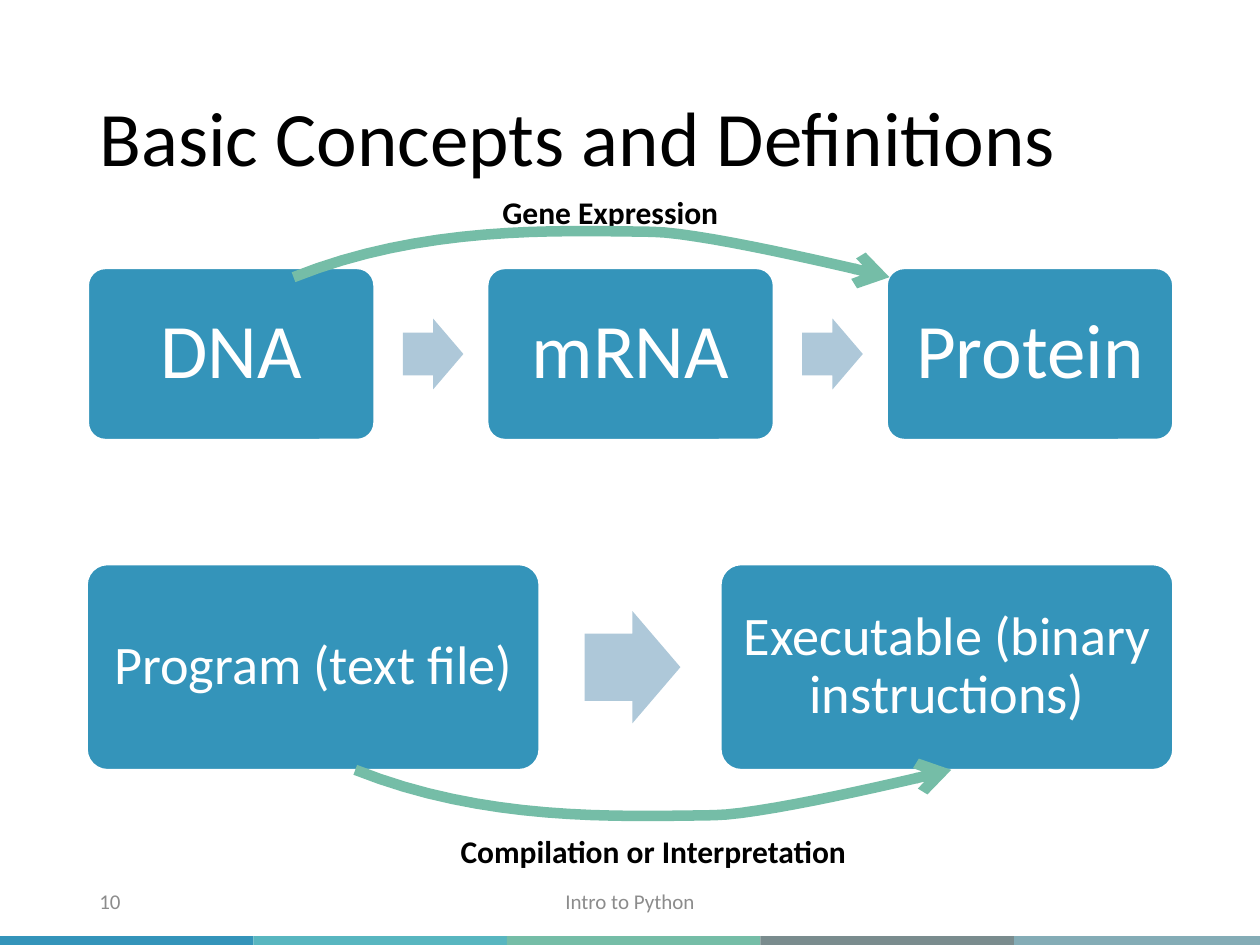
from pptx import Presentation
from pptx.dml.color import RGBColor
from pptx.enum import shapes as sh, text as tx
from pptx.oxml import parse_xml
from pptx.oxml.ns import nsdecls
from pptx.util import Inches, Pt

BLUE = RGBColor(0x34, 0x94, 0xBA)
TEAL = RGBColor(0x58, 0xB6, 0xC0)
GREEN = RGBColor(0x75, 0xBD, 0xA7)
SLATE = RGBColor(0x7A, 0x8C, 0x8E)
MIST = RGBColor(0x84, 0xAC, 0xB6)
PALE = RGBColor(0xAE, 0xC8, 0xD9)
GRAY = RGBColor(0x8C, 0x8C, 0x8C)
BLACK = RGBColor(0, 0, 0)
WHITE = RGBColor(255, 255, 255)
KIND = sh.MSO_SHAPE
LEFT, CENTER = tx.PP_ALIGN.LEFT, tx.PP_ALIGN.CENTER

# Two cubic pieces of the curved arrow, as offsets from its start
CURVE = [[(0, 0), (1.03, -0.41), (2.06, -0.37), (2.85, -0.36)],
         [(2.85, -0.36), (3.31, -0.35), (4.73, 0), (4.73, 0)]]


def write(shape, words, size, color, align=CENTER, bold=False, space=1.0):
    frame = shape.text_frame
    frame.vertical_anchor = tx.MSO_ANCHOR.MIDDLE
    para = frame.paragraphs[0]
    para.alignment, para.line_spacing = align, space
    run = para.add_run()
    run.text = words
    font = run.font
    font.name, font.size, font.bold = "Calibri", Pt(size), bold
    font.color.rgb = color
    return frame


def label(slide, box, words, size, color, wrap=True, **style):
    shape = slide.shapes.add_textbox(*map(Inches, box))
    write(shape, words, size, color, **style).word_wrap = wrap


def block(slide, kind, box, fill):
    shape = slide.shapes.add_shape(kind, *map(Inches, box))
    shape.shadow.inherit = False
    shape.fill.solid()
    shape.fill.fore_color.rgb = fill
    shape.line.fill.background()
    return shape


def stripe(slide, left, top, width, height):
    """Coloured band along the bottom edge."""
    colors = [BLUE, TEAL, GREEN, SLATE, MIST]
    step = width / len(colors)
    for i, color in enumerate(colors):
        block(slide, KIND.RECTANGLE, (left + i * step, top, step, height), color)


def flow(slide, box, names, wide, size, inset):
    """Row of rounded steps with a block arrow in each gap."""
    left, top, width, height = box
    pitch = (width - wide) / (len(names) - 1)
    for i, name in enumerate(names):
        x = left + i * pitch
        step = block(slide, KIND.ROUNDED_RECTANGLE, (x, top, wide, height), BLUE)
        step.adjustments[0] = 0.1
        step.line.color.rgb = WHITE
        step.line.width = Pt(1)
        frame = write(step, name, size, WHITE, space=0.9)
        frame.word_wrap = True
        frame.margin_left = frame.margin_right = Inches(inset)
        frame.margin_top = frame.margin_bottom = Inches(inset)
        if i < len(names) - 1:
            # Arrow size follows the step width
            tall = 0.248 * wide
            spot = (x + 1.1 * wide, top + (height - tall) / 2, 0.212 * wide, tall)
            arrow = block(slide, KIND.RIGHT_ARROW, spot, PALE)
            arrow.adjustments[0], arrow.adjustments[1] = 0.6, 0.5


def bezier(pts, t):
    s = 1 - t
    mix = (s ** 3, 3 * s * s * t, 3 * s * t * t, t ** 3)
    return [sum(m * p[k] for m, p in zip(mix, pts)) for k in (0, 1)]


def arc(slide, left, base, sign):
    """Curved arrow: sign 1 bows up, -1 bows down."""
    steps = 16
    dots = [bezier(part, i / steps) for part in CURVE for i in range(1, steps + 1)]
    pen = slide.shapes.build_freeform(Inches(left), Inches(base))
    pen.add_line_segments([(Inches(left + x), Inches(base + sign * y))
                           for x, y in dots], close=False)
    shape = pen.convert_to_shape()
    shape.shadow.inherit = False
    shape.fill.background()
    shape.line.color.rgb = GREEN
    shape.line.width = Pt(6)
    shape.line._get_or_add_ln().append(
        parse_xml('<a:tailEnd %s type="arrow"/>' % nsdecls("a")))


def footer(slide, left, top, height):
    label(slide, (left + 2.62, top, 3.38, height), "Intro to Python", 12, GRAY)
    label(slide, (left, top, 2.25, height), "10", 12, GRAY, align=LEFT)


def main():
    prs = Presentation()
    prs.slide_width, prs.slide_height = Inches(10), Inches(7.5)
    slide = prs.slides.add_slide(prs.slide_layouts[6])

    stripe(slide, 0, 7.43, 10.06, 0.1)
    label(slide, (0.69, 0.4, 8.62, 1.45), "Basic Concepts and Definitions",
          44, BLACK, align=LEFT, space=0.9)
    # Biology row
    flow(slide, (0.7, 2.13, 8.61, 1.36), ["DNA", "mRNA", "Protein"], 2.27, 44, 0.17)
    footer(slide, 0.69, 6.95, 0.4)
    # Software row
    flow(slide, (0.69, 4.48, 8.62, 1.63),
         ["Program (text file)", "Executable (binary instructions)"], 3.59, 31, 0.12)
    # Curved arrows and their captions
    label(slide, (3.88, 1.48, 1.93, 0.4), "Gene Expression", 18, BLACK,
          wrap=False, bold=True)
    arc(slide, 2.33, 2.2, 1)
    arc(slide, 2.82, 6.11, -1)
    label(slide, (3.54, 6.55, 3.29, 0.4), "Compilation or Interpretation", 18, BLACK,
          wrap=False, bold=True)
    prs.save("out.pptx")


if __name__ == "__main__":
    main()
